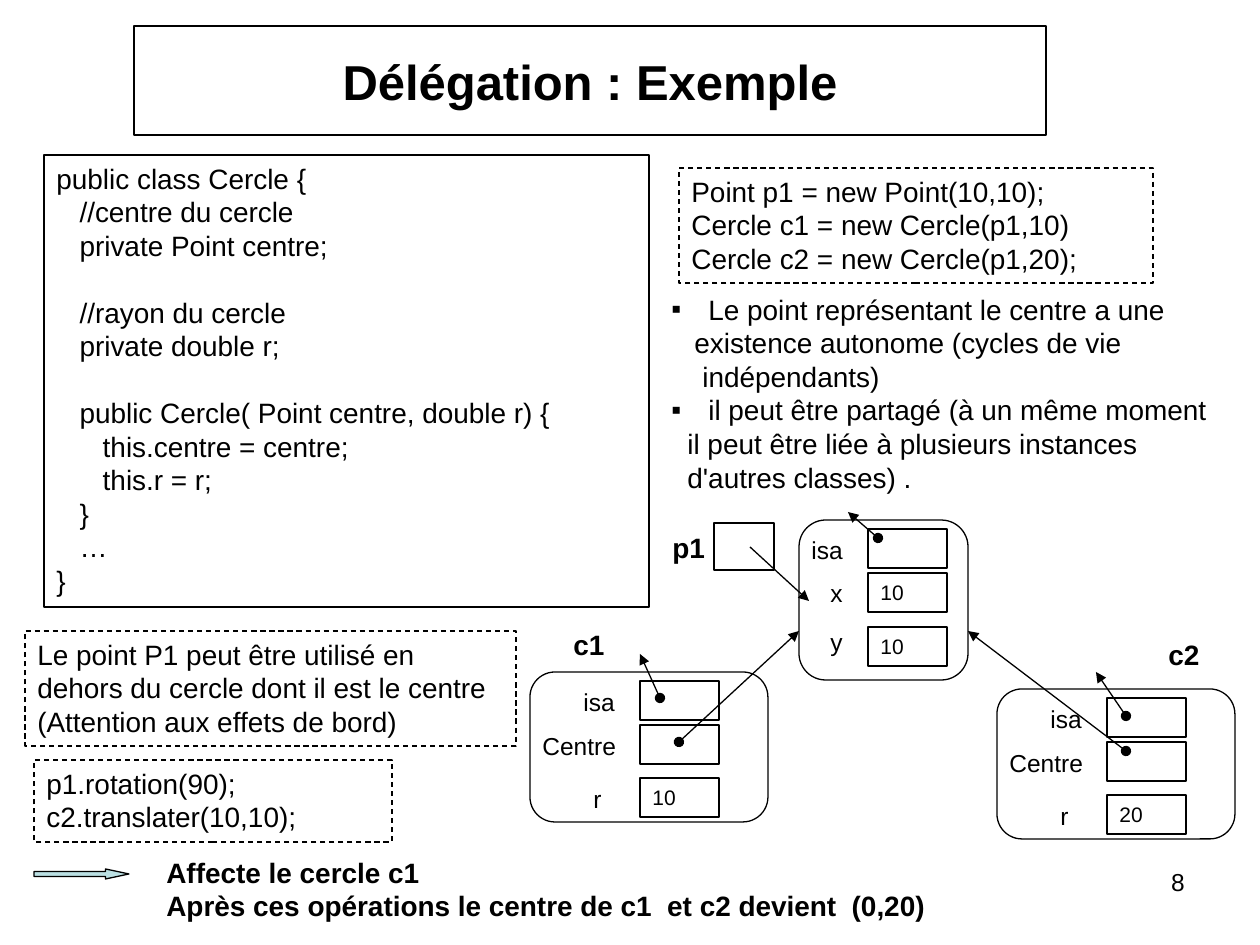
import pptx
import pptx.dml.color
import pptx.enum.dml
import pptx.enum.shapes
import pptx.enum.text
import pptx.oxml
import pptx.oxml.ns
import pptx.util
from dataclasses import dataclass
from lxml import etree

SHAPE = pptx.enum.shapes.MSO_SHAPE
ALIGN = pptx.enum.text.PP_ALIGN
ANCHOR = pptx.enum.text.MSO_ANCHOR
PX_PER_INCH = 126


@dataclass(frozen=True)
class Theme:
    font: str = "Arial"
    ink: str = "000000"
    accent: str = "BBE0E3"
    title: int = 28
    body: int = 16
    label: int = 14
    value: int = 12
    line: float = 0.75
    blank_line: int = 19


def px(length):
    return pptx.util.Emu(round(length * 914400 / PX_PER_INCH))


def color(code):
    return pptx.dml.color.RGBColor.from_string(code)


def add_element(parent, tag, **attributes):
    child = etree.SubElement(parent, pptx.oxml.ns.qn(tag))
    for name, value in attributes.items():
        child.set(name, str(value))
    return child


class Painter:
    def __init__(self, slide, theme):
        self.slide = slide
        self.theme = theme

    def outline(self, line, width=None, dashed=False):
        line.color.rgb = color(self.theme.ink)
        line.width = pptx.util.Pt(width or self.theme.line)
        if dashed:
            line.dash_style = pptx.enum.dml.MSO_LINE.DASH

    def fill_text(self, frame, lines, size, bold=False, align=ALIGN.LEFT,
                  anchor=ANCHOR.TOP):
        """Fill a text frame; an empty line becomes space before the next."""
        frame.word_wrap = True
        frame.vertical_anchor = anchor
        para, gap = frame.paragraphs[0], 0
        for number, text in enumerate(lines):
            if not text:
                gap += self.theme.blank_line
                continue
            if number:
                para = frame.add_paragraph()
            para.alignment = align
            if gap:
                para.space_before = pptx.util.Pt(gap)
                gap = 0
            span = para.add_run()
            span.text = text
            span.font.name = self.theme.font
            span.font.size = pptx.util.Pt(size)
            span.font.bold = bold
            span.font.color.rgb = color(self.theme.ink)

    def title(self, text, *place):
        """Move the title placeholder and give it a rounded frame."""
        title = self.slide.shapes.title
        title.left, title.top, title.width, title.height = map(px, place)
        geometry = pptx.oxml.parse_xml(
            f'<a:prstGeom {pptx.oxml.ns.nsdecls("a")} prst="roundRect"><a:avLst/></a:prstGeom>')
        title.element.spPr.insert(1, geometry)
        self.outline(title.line)
        self.fill_text(title.text_frame, [text], self.theme.title, True,
                       ALIGN.CENTER, ANCHOR.MIDDLE)

    def shape(self, kind, *place, fill=None, width=None, dashed=False):
        shape = self.slide.shapes.add_shape(kind, *map(px, place))
        shape.shadow.inherit = False
        if fill:
            shape.fill.solid()
            shape.fill.fore_color.rgb = color(fill)
        else:
            shape.fill.background()
        self.outline(shape.line, width, dashed)
        return shape

    def panel(self, lines, *place, dashed=True):
        box = self.shape(SHAPE.RECTANGLE, *place, dashed=dashed)
        self.fill_text(box.text_frame, lines, self.theme.body)

    def text(self, lines, *place, size=None, **style):
        box = self.slide.shapes.add_textbox(*map(px, place))
        self.fill_text(box.text_frame, lines, size or self.theme.body, **style)
        return box

    def remarks(self, lines, *place):
        """Lines are (text, left indent in px, whether it has a bullet)."""
        box = self.text([text for text, _, _ in lines], *place)
        for para, (_, indent, bulleted) in zip(box.text_frame.paragraphs, lines):
            properties = para._p.get_or_add_pPr()
            properties.set("marL", str(px(indent)))
            properties.set("indent", str(px(-indent if bulleted else 0)))
            if bulleted:
                add_element(properties, "a:buFont", typeface=self.theme.font)
                add_element(properties, "a:buChar", char="▪")
            else:
                add_element(properties, "a:buNone")

    def instance(self, left, top, width, height, cell_left, fields):
        """Draw an object; fields are (name, name width, name y, cell y, value)."""
        self.shape(SHAPE.ROUNDED_RECTANGLE, left, top, width, height)
        cell_x = left + cell_left
        for name, name_width, name_y, cell_y, value in fields:
            cell = self.shape(SHAPE.RECTANGLE, cell_x, top + cell_y, 79, 39)
            if value:
                self.fill_text(cell.text_frame, [value], self.theme.value,
                               anchor=ANCHOR.MIDDLE)
            self.text([name], cell_x - 10 - name_width, top + name_y,
                      name_width, 42, size=self.theme.label)

    def arrow(self, start, end, dotted=True):
        arrow = self.slide.shapes.add_connector(
            pptx.enum.shapes.MSO_CONNECTOR.STRAIGHT, *map(px, start + end))
        self.outline(arrow.line)
        line = arrow.line._get_or_add_ln()
        if dotted:
            add_element(line, "a:headEnd", type="oval")
        add_element(line, "a:tailEnd", type="triangle")
        add_element(arrow._element.spPr, "a:effectLst")


def main():
    theme = Theme()
    deck = pptx.Presentation()
    deck.slide_width, deck.slide_height = px(1260), px(945)
    page = Painter(deck.slides.add_slide(deck.slide_layouts[5]), theme)

    page.title("Délégation : Exemple", 134, 26, 912, 109)
    page.panel(["public class Cercle {", "   //centre du cercle",
                "   private Point centre;", "", "   //rayon du cercle",
                "   private double r;", "",
                "   public Cercle( Point centre, double r) {",
                "      this.centre = centre;", "      this.r = r;",
                "   }", "   …", "}"], 44, 155, 605, 452, dashed=False)
    page.remarks([("Le point représentant le centre a une", 37, True),
                  ("existence autonome (cycles de vie", 23, False),
                  ("indépendants)", 31, False),
                  ("il peut être partagé (à un même moment", 37, True),
                  ("il peut être liée à plusieurs instances", 16, False),
                  ("d'autres classes) .", 16, False)], 659, 286, 566, 214)
    page.panel(["Point p1 = new Point(10,10);", "Cercle c1 = new Cercle(p1,10)",
                "Cercle c2 = new Cercle(p1,20);"], 679, 168, 474, 115)

    page.instance(799, 520, 169, 160, 69, [("isa", 59, 9, 9, ""),
                                           ("x", 40, 52, 53, "10"),
                                           ("y", 40, 101, 107, "10")])
    for left, top, radius in ((530, 672, "10"), (997, 689, "20")):
        page.instance(left, top, 238, 150, 110, [("isa", 59, 9, 9, ""),
                                                 ("Centre", 100, 53, 53, ""),
                                                 ("r", 49, 106, 106, radius)])
    page.shape(SHAPE.RECTANGLE, 714, 523, 60, 47, width=1)
    for name, left, top in (("p1", 660, 524), ("c1", 561, 621), ("c2", 1156, 631)):
        page.text([name], left, top, 59, 47, bold=True)

    for start, end in (((660, 698), (640, 654)), ((1126, 716), (1096, 672)),
                       ((679, 742), (799, 631)), ((1126, 751), (968, 631)),
                       ((878, 538), (848, 512))):
        page.arrow(start, end)
    page.arrow((750, 547), (809, 601), dotted=False)

    page.panel(["Le point P1 peut être utilisé en dehors du cercle dont il est "
                "le centre (Attention aux effets de bord)"], 25, 631, 491, 115)
    page.panel(["p1.rotation(90);", "c2.translater(10,10);"], 34, 760, 358, 82)
    pointer = page.shape(SHAPE.RIGHT_ARROW, 34, 869, 95, 10, fill=theme.accent)
    pointer.adjustments[1] = 2.34
    page.text(["Affecte le cercle c1",
               "Après ces opérations le centre de c1  et c2 devient  (0,20)"],
              154, 849, 853, 81, bold=True)
    page.text(["8"], 903, 861, 294, 66, size=theme.label, align=ALIGN.RIGHT)
    deck.save("out.pptx")


if __name__ == "__main__":
    main()
